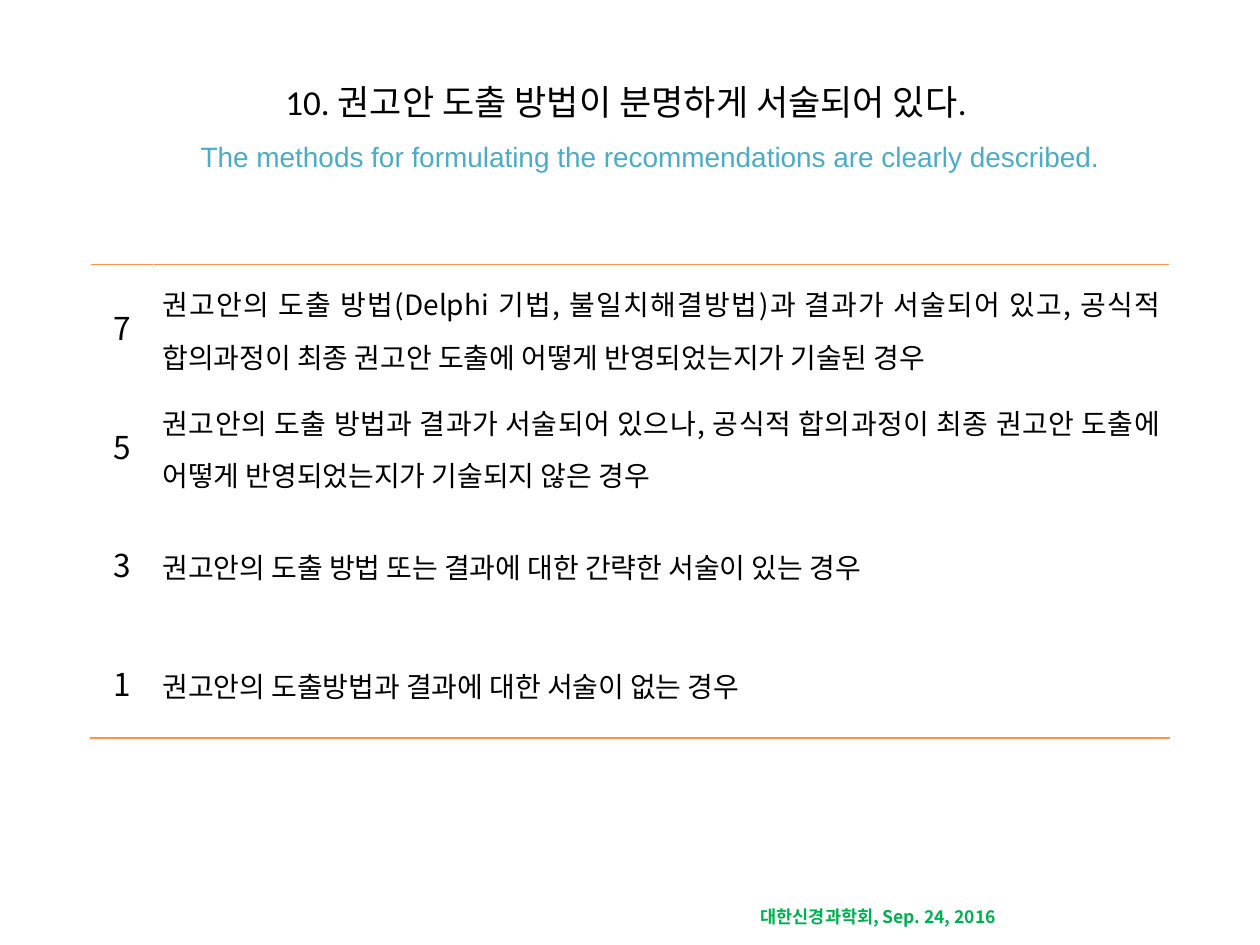
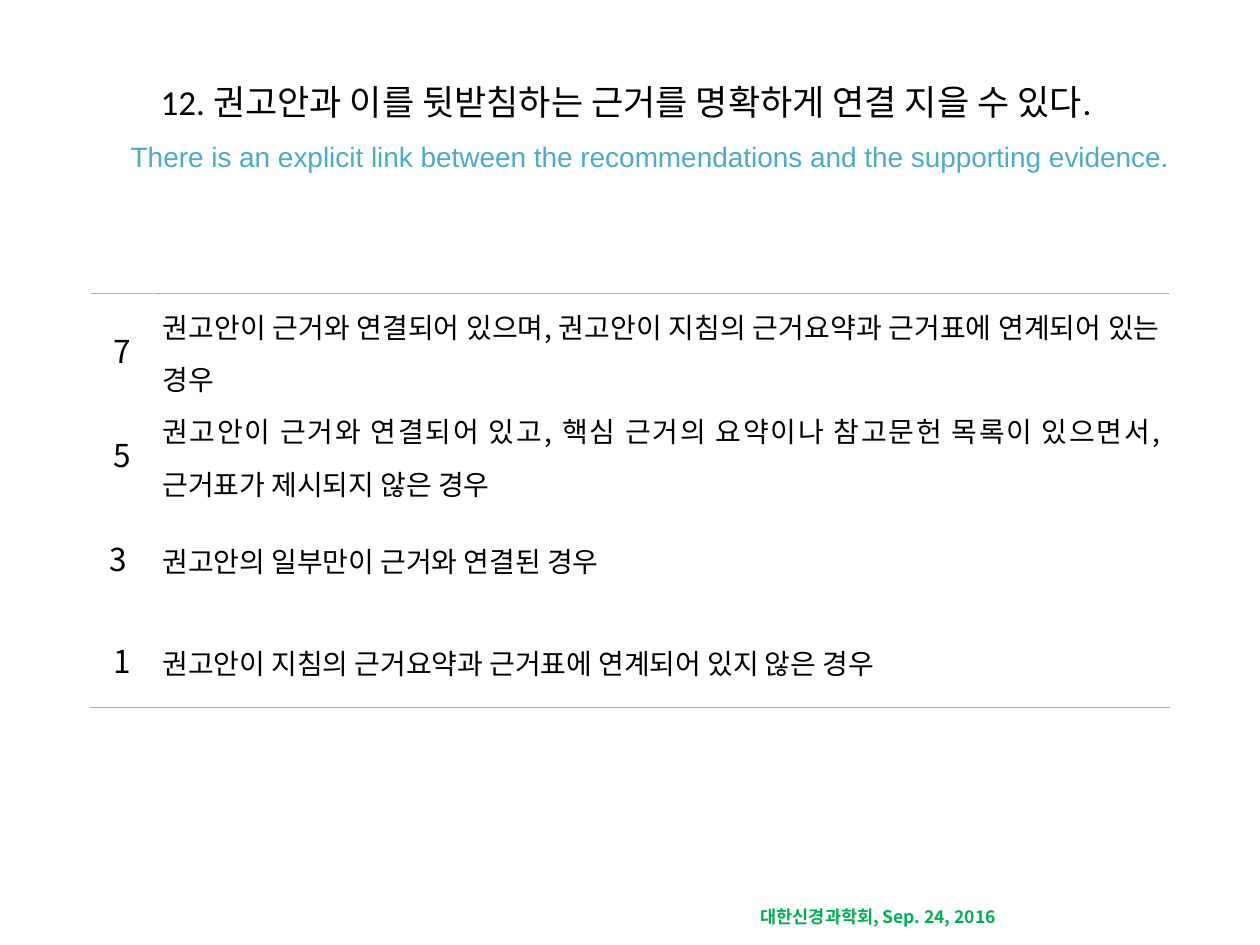
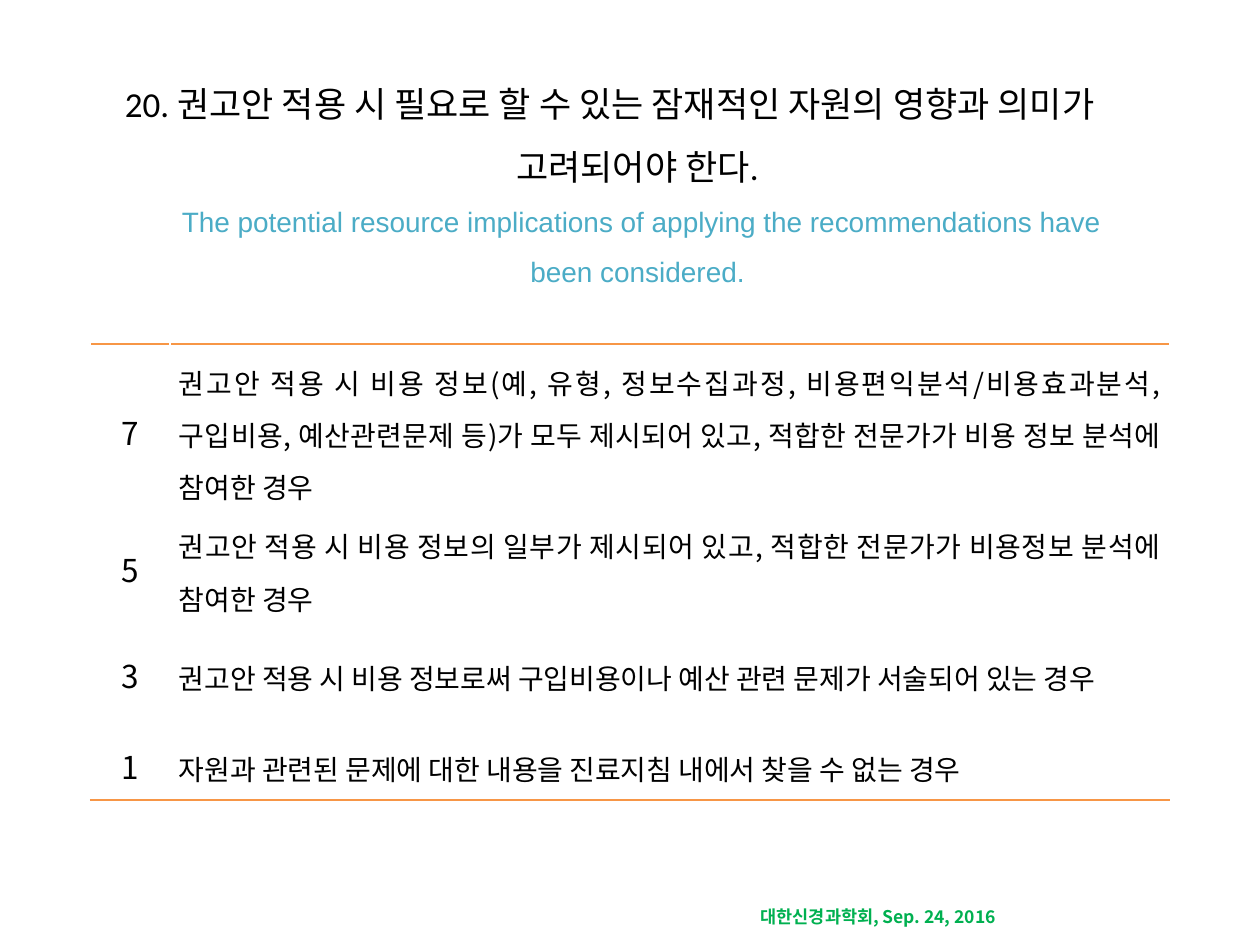
from lxml import etree
from pptx import Presentation
from pptx.dml.color import RGBColor
from pptx.enum.text import MSO_ANCHOR, MSO_AUTO_SIZE, PP_ALIGN
from pptx.oxml.ns import qn
from pptx.util import Inches, Pt

CENTER, JUSTIFY = PP_ALIGN.CENTER, PP_ALIGN.JUSTIFY
MIDDLE = MSO_ANCHOR.MIDDLE
NO_AUTOFIT = MSO_AUTO_SIZE.NONE

COLORS = {"text": "000000", "english": "4BACC6", "rule": "F79646", "footer": "00B050"}
KOREAN_FONT = "Noto Sans CJK KR"
TITLE_SIZE = 20
TABLE_LEFT, TABLE_WIDTH = 0.72, 8.56
SCORES = ["7", "5", "3", "1"]

ITEMS = [
    {
        "korean": "10. 권고안 도출 방법이 분명하게 서술되어 있다. ",
        "english": "The methods for formulating the recommendations are clearly described. ",
        "title_box": (0.5, 0.3, 9, 1.25), "indent": 0.38, "space_before": 6,
        "table_top": 2.1, "score_width": 0.5, "row_heights": [0.94] * 4,
        "scores": SCORES,
        "criteria": [
            "권고안의 도출 방법(Delphi 기법, 불일치해결방법)과 결과가 서술되어 있고, "
            "공식적 합의과정이 최종 권고안 도출에 어떻게 반영되었는지가 기술된 경우",
            "권고안의 도출 방법과 결과가 서술되어 있으나, 공식적 합의과정이 최종 권고안 "
            "도출에 어떻게 반영되었는지가 기술되지 않은 경우",
            "권고안의 도출 방법 또는 결과에 대한 간략한 서술이 있는 경우",
            "권고안의 도출방법과 결과에 대한 서술이 없는 경우",
        ],
    },
    {
        "korean": "12. 권고안과 이를 뒷받침하는 근거를 명확하게 연결 지을 수 있다. ",
        "english": "There is an explicit link between the recommendations and the supporting evidence. ",
        "title_box": (0.5, 0.3, 9, 1.25), "indent": 0.38, "space_before": 6,
        "table_top": 2.33, "score_width": 0.5, "row_heights": [0.81] * 4,
        "scores": ["7", "5", "3 ", "1"],
        "criteria": [
            "권고안이 근거와 연결되어 있으며, 권고안이 지침의 근거요약과 근거표에 연계되어 있는 경우",
            "권고안이 근거와 연결되어 있고, 핵심 근거의 요약이나 참고문헌 목록이 있으면서, "
            "근거표가 제시되지 않은 경우",
            "권고안의 일부만이 근거와 연결된 경우",
            "권고안이 지침의 근거요약과 근거표에 연계되어 있지 않은 경우",
        ],
    },
    {
        "korean": "20. 권고안 적용 시 필요로 할 수 있는 잠재적인 자원의 영향과 의미가 고려되어야 한다. ",
        "english": "The potential resource implications of applying the recommendations have been considered. ",
        "title_box": (0.74, 0.69, 8.2, 1.4), "indent": 0.5, "space_before": 12,
        "table_top": 2.73, "score_width": 0.63, "row_heights": [1.34, 0.84, 0.84, 0.6],
        "scores": SCORES,
        "criteria": [
            "권고안 적용 시 비용 정보(예, 유형, 정보수집과정, 비용편익분석/비용효과분석, "
            "구입비용, 예산관련문제 등)가 모두 제시되어 있고, 적합한 전문가가 비용 정보 분석에 참여한 경우",
            "권고안 적용 시 비용 정보의 일부가 제시되어 있고, 적합한 전문가가 비용정보 분석에 참여한 경우",
            "권고안 적용 시 비용 정보로써 구입비용이나 예산 관련 문제가 서술되어 있는 경우",
            "자원과 관련된 문제에 대한 내용을 진료지침 내에서 찾을 수 없는 경우",
        ],
    },
]


def style_run(run, size, font_name, color, bold=False):
    run.font.size = Pt(size)
    run.font.bold = bold
    run.font.color.rgb = RGBColor.from_string(COLORS[color])
    run.font.name = font_name


def add_rule(cell, edge):
    """Draw the table's outer rule on one edge ("T" or "B") of a cell."""
    line = etree.Element(qn(f"a:ln{edge}"), w=str(Pt(1)))
    fill = etree.SubElement(line, qn("a:solidFill"))
    etree.SubElement(fill, qn("a:srgbClr"), val=COLORS["rule"])
    cell._tc.get_or_add_tcPr().insert(0, line)


presentation = Presentation()
presentation.slide_width, presentation.slide_height = Inches(10), Inches(7.5)
layout = presentation.slide_layouts[5]
slides = [presentation.slides.add_slide(layout) for _ in ITEMS]

# The footer belongs to the layout, so every slide shows it.
footer = slides[0].shapes.add_textbox(Inches(5.94), Inches(7.14), Inches(2.44), Inches(0.27))
footer.text_frame.word_wrap = True
footer.text_frame.text = "대한신경과학회, Sep. 24, 2016"
style_run(footer.text_frame.paragraphs[0].runs[0], 10, KOREAN_FONT, "footer", bold=True)
layout.shapes.element.append(footer.element)

for slide, item in zip(slides, ITEMS):
    title = slide.shapes.title
    title.left, title.top, title.width, title.height = map(Inches, item["title_box"])
    title.text_frame.auto_size = NO_AUTOFIT
    title.text_frame.vertical_anchor = MIDDLE
    paragraph = title.text_frame.paragraphs[0]
    paragraph.text = f"{item['korean']}\v{item['english']}"
    paragraph.alignment = CENTER
    paragraph.line_spacing = 1.5
    paragraph.space_before = Pt(item["space_before"])
    properties = paragraph._p.get_or_add_pPr()
    properties.set("marL", str(Inches(item["indent"])))
    properties.set("indent", str(-Inches(item["indent"])))
    line_break = paragraph._p.find(qn("a:br"))
    etree.SubElement(line_break, qn("a:rPr"), sz=str(TITLE_SIZE * 100))
    korean_run, english_run = paragraph.runs
    style_run(korean_run, TITLE_SIZE, "Calibri", "text")
    style_run(english_run, 16, "Arial", "english")

    heights = item["row_heights"]
    table = slide.shapes.add_table(
        len(heights), 2, Inches(TABLE_LEFT), Inches(item["table_top"]),
        Inches(TABLE_WIDTH), Inches(sum(heights))).table
    table.first_row = table.horz_banding = False
    table.columns[0].width = Inches(item["score_width"])
    table.columns[1].width = Inches(TABLE_WIDTH - item["score_width"])
    for row, height in zip(table.rows, heights):
        row.height = Inches(height)

    for row, texts in enumerate(zip(item["scores"], item["criteria"])):
        for column, text in enumerate(texts):
            cell = table.cell(row, column)
            cell.fill.background()
            cell.vertical_anchor = MIDDLE
            cell.margin_left = cell.margin_right = Inches(0.07)
            cell.margin_top = cell.margin_bottom = 0
            paragraph = cell.text_frame.paragraphs[0]
            paragraph.text = text
            if column == 0:
                paragraph.alignment, paragraph.line_spacing = CENTER, 1.15
                paragraph.space_before = paragraph.space_after = Pt(8)
            else:
                paragraph.alignment, paragraph.line_spacing = JUSTIFY, 1.3
            style_run(paragraph.runs[0], 18 if column == 0 else 16, KOREAN_FONT, "text")
            if row == 0:
                add_rule(cell, "T")
            elif row == len(heights) - 1:
                add_rule(cell, "B")

presentation.save("out.pptx")
